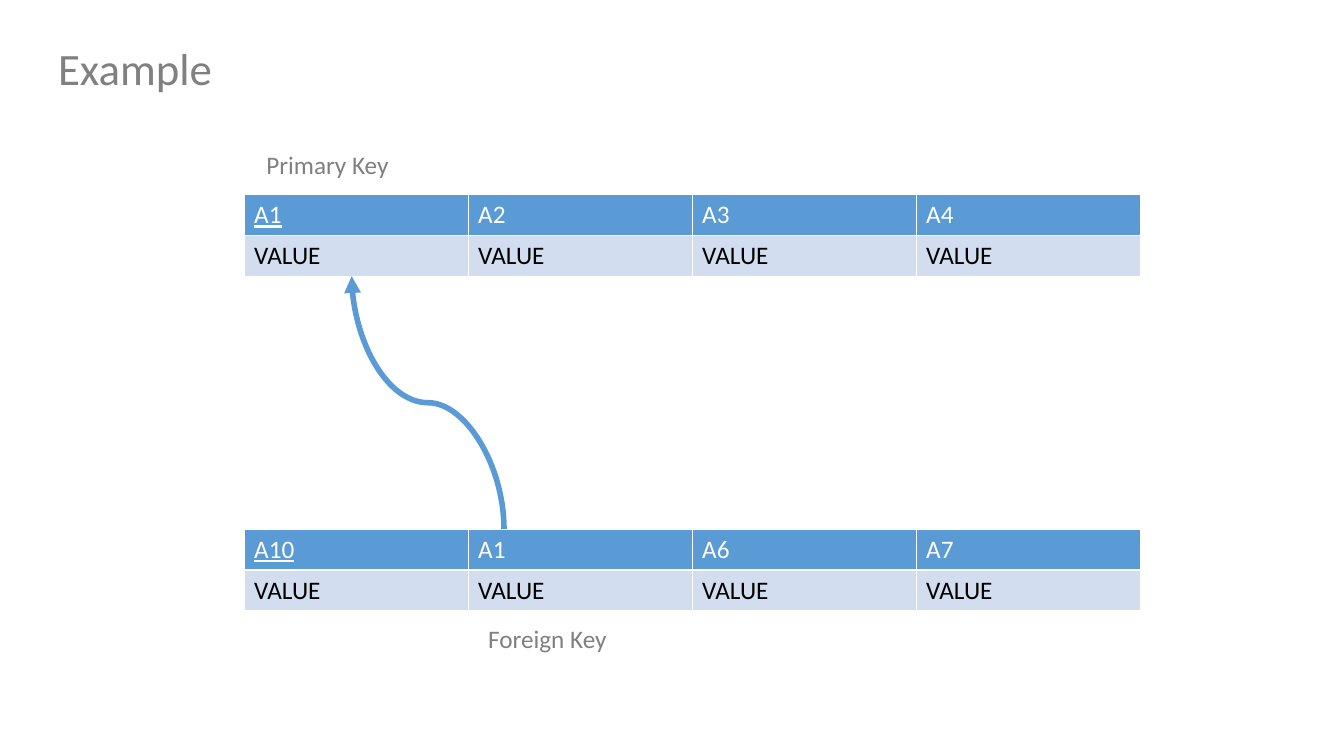
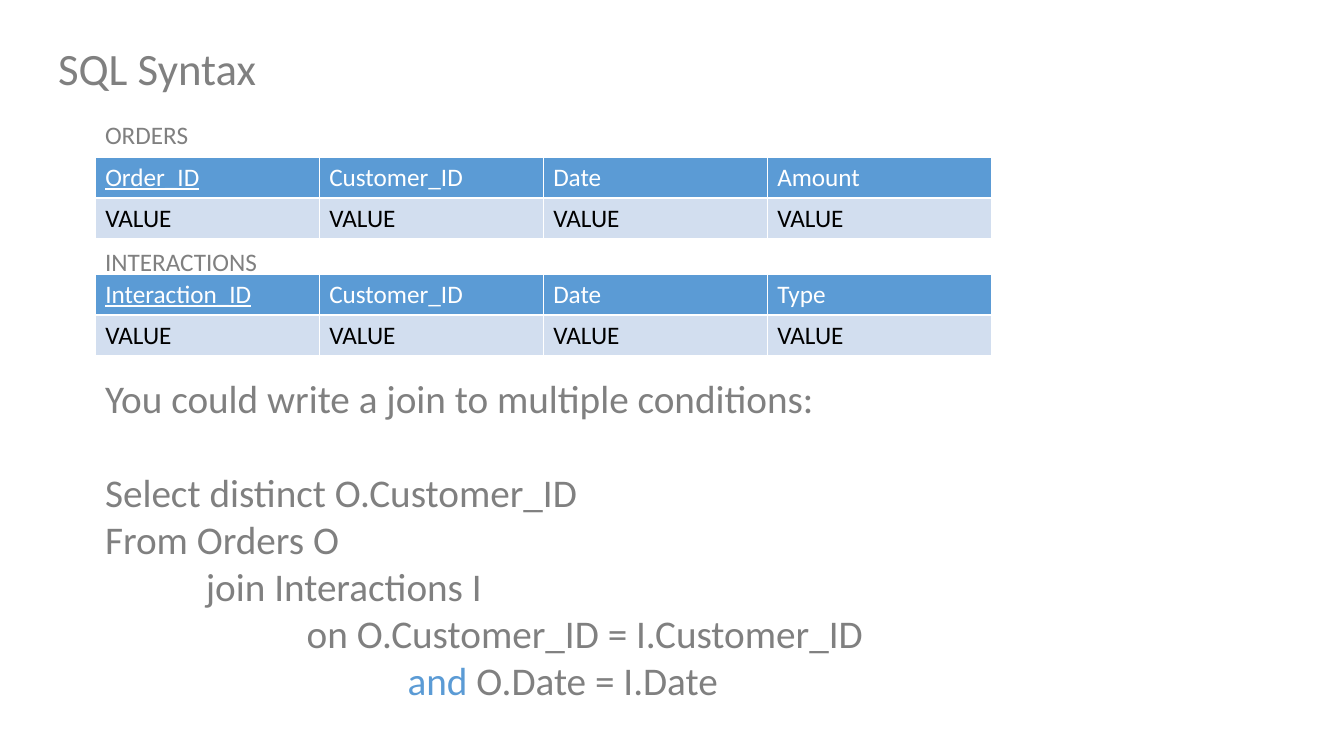
from dataclasses import dataclass

from lxml.etree import SubElement
from pptx import Presentation
from pptx.dml.color import RGBColor as RGB
from pptx.enum.shapes import MSO_CONNECTOR as Connector
from pptx.enum.text import MSO_AUTO_SIZE as AutoSize, PP_ALIGN as Align
from pptx.oxml.ns import qn
from pptx.util import Inches, Pt

COLS, ROWS = 12, 75  # grid the slide is divided into


@dataclass(frozen=True)
class Theme:
    font: str = "Calibri"
    gray: str = "808080"
    accent: str = "5B9BD5"
    pale: str = "D2DEEF"
    white: str = "FFFFFF"
    black: str = "000000"
    title: int = 32
    body: int = 28
    label: int = 18
    border: int = 1
    arrow: int = 4


class Deck:
    TABLE_COL, TABLE_ROW = 2, 4.05  # table cell size in grid units

    def __init__(self, theme):
        self.theme = theme
        self.prs = Presentation()
        self.prs.slide_width, self.prs.slide_height = Inches(13.33), Inches(7.5)
        self.s = None

    def x(self, cols):
        return round(self.prs.slide_width * cols / COLS)

    def y(self, rows):
        return round(self.prs.slide_height * rows / ROWS)

    def box(self, col, row, cols, rows):
        return self.x(col), self.y(row), self.x(cols), self.y(rows)

    def run(self, p, text, size, color, **extra):
        r = p.add_run()
        r.text = text
        fmt = {"name": self.theme.font, "size": Pt(size), "bold": False, **extra}
        for name, value in fmt.items():
            setattr(r.font, name, value)
        r.font.color.rgb = RGB.from_string(color)

    def text_frame(self, *place):
        tf = self.s.shapes.add_textbox(*self.box(*place)).text_frame
        for name, value in {"word_wrap": True, "auto_size": AutoSize.SHAPE_TO_FIT_TEXT}.items():
            setattr(tf, name, value)
        return tf

    def slide(self, title):
        self.s = self.prs.slides.add_slide(self.prs.slide_layouts[6])
        tf = self.text_frame(0.43, 3.6, 9.86, 6.4)
        self.run(tf.paragraphs[0], title, self.theme.title, self.theme.gray)

    def label(self, text, col, row):
        tf = self.text_frame(col, row, 2.22, 4)
        self.run(tf.paragraphs[0], text, self.theme.label, self.theme.gray)

    def code(self, lines, col, row, cols, rows):
        """Each line is (indent in inches, gap before in points, runs of text and colour)."""
        tf = self.text_frame(col, row, cols, rows)
        for i, (indent, gap, runs) in enumerate(lines):
            p = tf.add_paragraph() if i else tf.paragraphs[0]
            p.alignment, p.space_before = Align.JUSTIFY, Pt(gap)
            p._p.get_or_add_pPr().set("marL", str(Inches(indent)))
            for text, color in runs:
                self.run(p, text, self.theme.body, color)

    def cell(self, cell, text, fill, color, underline):
        tc_pr = cell._tc.get_or_add_tcPr()
        for side in ("a:lnL", "a:lnR", "a:lnT", "a:lnB"):
            ln = SubElement(tc_pr, qn(side), w=str(Pt(self.theme.border)))
            SubElement(SubElement(ln, qn("a:solidFill")), qn("a:srgbClr"), val=self.theme.white)
        cell.fill.solid()
        cell.fill.fore_color.rgb = RGB.from_string(fill)
        self.run(cell.text_frame.paragraphs[0], text, self.theme.label, color, underline=underline)

    def table(self, heads, col, row):
        """A header with its first name underlined as the key, over a row of values."""
        t, n = self.theme, len(heads)
        place = self.box(col, row, n * self.TABLE_COL, 2 * self.TABLE_ROW)
        table = self.s.shapes.add_table(2, n, *place).table
        for name in ("first_row", "horz_banding"):
            setattr(table, name, False)
        for i, head in enumerate(heads):
            self.cell(table.cell(0, i), head, t.accent, t.white, i == 0)
            self.cell(table.cell(1, i), "VALUE", t.pale, t.black, False)

    def curve(self, start, end):
        """An S-curve that leaves and arrives vertically: a connector turned by 270 degrees."""
        (x1, y1), (x2, y2) = [(self.x(c), self.y(r)) for c, r in (start, end)]
        cx, cy, dx, dy = (x1 + x2) // 2, (y1 + y2) // 2, (x1 - x2) // 2, (y1 - y2) // 2
        cxn = self.s.shapes.add_connector(Connector.CURVE, cx - dy, cy + dx, cx + dy, cy - dx)
        cxn.line.width = Pt(self.theme.arrow)
        cxn.line.color.rgb = RGB.from_string(self.theme.accent)
        sp_pr = cxn._element.spPr
        sp_pr.find(qn("a:xfrm")).set("rot", str(270 * 60000))
        SubElement(sp_pr.find(qn("a:ln")), qn("a:tailEnd"), type="triangle")
        SubElement(sp_pr, qn("a:effectLst"))


def main():
    theme = Theme()
    deck = Deck(theme)

    # Primary and foreign key
    deck.slide("Example")
    deck.table(["A1", "A2", "A3", "A4"], 2.18, 19.3)
    deck.table(["A10", "A1", "A6", "A7"], 2.18, 52.5)
    deck.curve((4.5, 52.5), (3.14, 27.4))
    deck.label("Primary Key", 2.29, 14.3)
    deck.label("Foreign Key", 4.27, 61.3)

    # Join on several conditions
    deck.slide("SQL Syntax")
    left, gray = 0.85, theme.gray
    deck.code([
        (0, 0, [("You could write a join to multiple conditions:", gray)]),
        (0, 34, [("Select distinct O.Customer_ID", gray)]),
        (0, 0, [("From Orders O", gray)]),
        (1, 0, [("join Interactions I", gray)]),
        (2, 0, [("on O.Customer_ID = I.Customer_ID", gray)]),
        (3, 0, [("and ", theme.accent), ("O.Date = I.Date", gray)]),
    ], left, 36.6, 8.36, 34)
    deck.table(["Order_ID", "Customer_ID", "Date", "Amount"], left, 15.6)
    deck.table(["Interaction_ID", "Customer_ID", "Date", "Type"], left, 27.2)
    deck.label("ORDERS", left, 11.3)
    deck.label("INTERACTIONS", left, 23.9)

    deck.prs.save("out.pptx")


if __name__ == "__main__":
    main()
